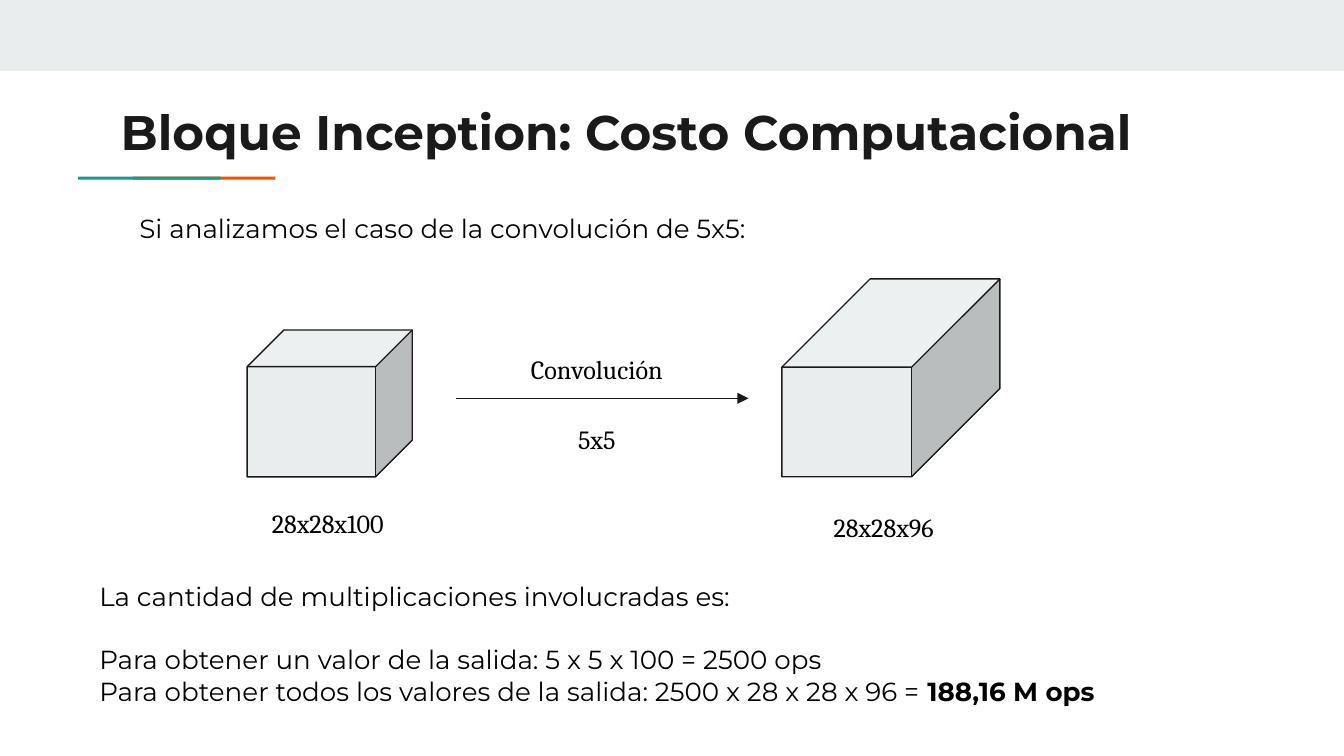
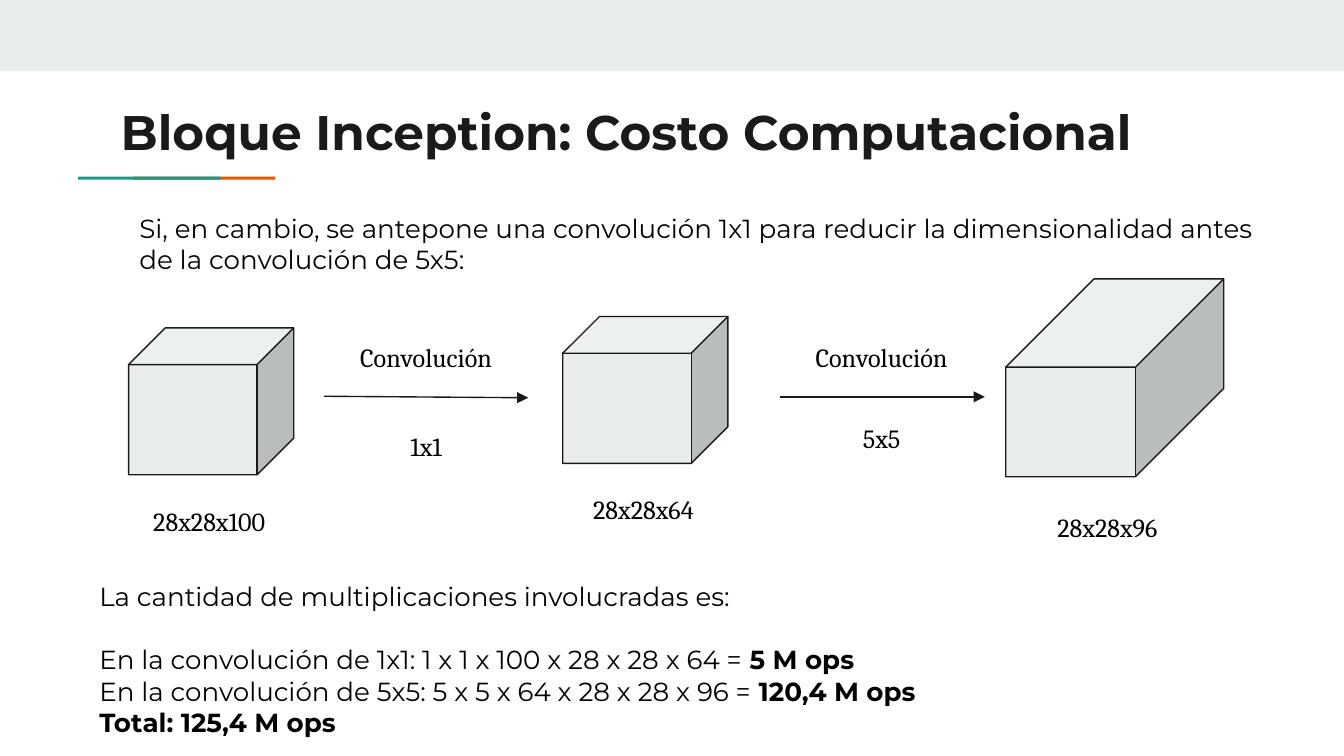
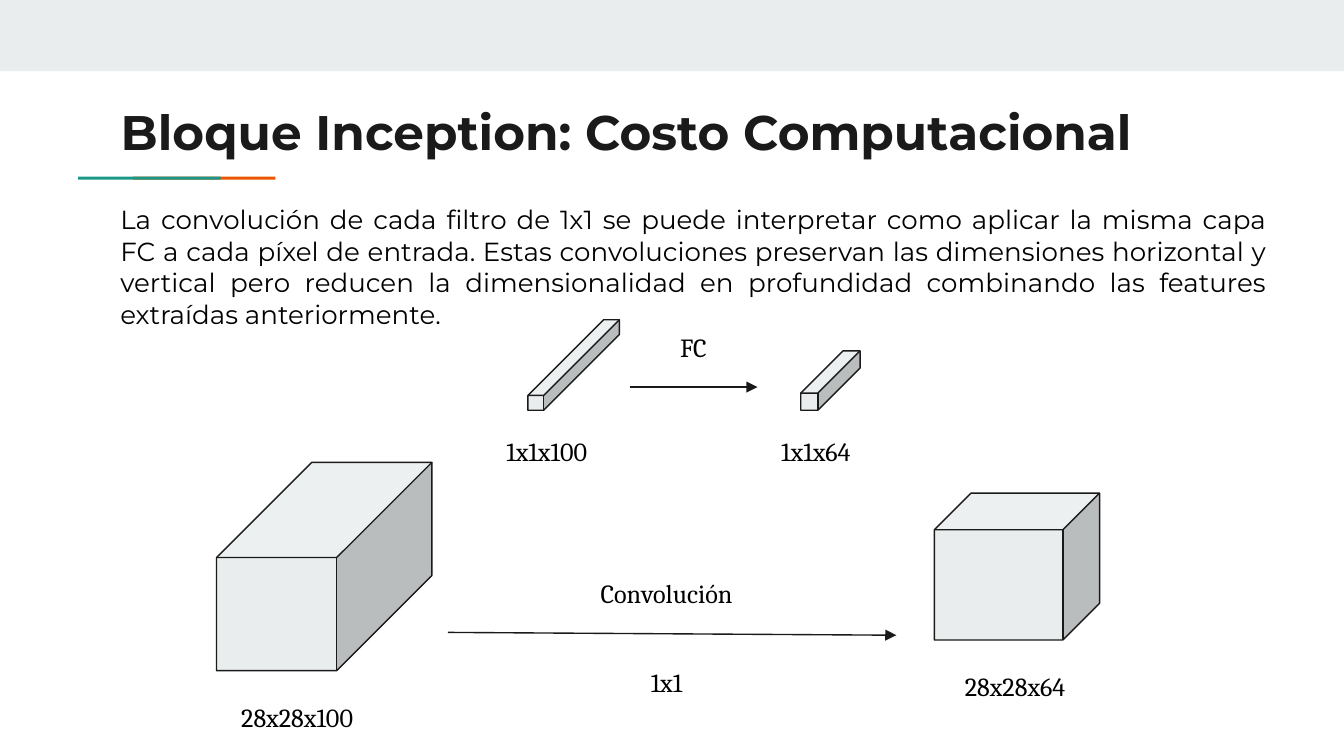
from collections import namedtuple

from lxml.etree import SubElement
from pptx import Presentation
from pptx.dml.color import RGBColor
from pptx.enum.shapes import MSO_CONNECTOR, MSO_SHAPE
from pptx.enum.text import MSO_ANCHOR, PP_ALIGN
from pptx.oxml.ns import qn
from pptx.util import Pt

INK = RGBColor(0x1A, 0x1A, 0x1A)
BLACK = RGBColor(0, 0, 0)
PALE = RGBColor(0xE9, 0xED, 0xEE)
TEAL = RGBColor(0x1A, 0x99, 0x88)
ORANGE = RGBColor(0xEB, 0x56, 0x00)

SANS, SERIF = "Montserrat", "Cambria"
WIDE, HIGH = 720, 405
INSET = 7.2
LABEL = (99.4, 31.7)
TITLE = "Bloque Inception: Costo Computacional"
COUNT = "La cantidad de multiplicaciones involucradas es:"
CONV = "Convolución"

# Size and depth of a cube; its label starts dx from the left, gap below.
Cube = namedtuple("Cube", "wide high depth dx gap")
BLOCK = Cube(88.5, 78.7, 0.25, -6.5, 9)
LONG = Cube(116.8, 106, 0.446, 4.8, 11.5)
DEEP = Cube(115.4, 111.6, 0.457, -6.5, 9.2)
ROD = Cube(49, 48.5, 0.836, -39.6, 6)
STUB = Cube(31.8, 31.8, 0.712, -41.6, 6)


def points(box):
    """Turn plain numbers into lengths in points."""
    return [Pt(n) for n in box]


def shape(slide, kind, box, fill, line=None):
    """Add a flat filled shape, outlined when a line colour is given."""
    item = slide.shapes.add_shape(kind, *points(box))
    item.shadow.inherit = False
    item.fill.solid()
    item.fill.fore_color.rgb = fill
    if line is None:
        item.line.fill.background()
    else:
        item.line.color.rgb = line
        item.line.width = Pt(0.75)
    return item


def write(slide, box, paras, face=SANS, size=14, color=BLACK,
          align=PP_ALIGN.LEFT, bold=False):
    """Add a text box; each paragraph is a (plain, bold) pair or a string."""
    frame = slide.shapes.add_textbox(*points(box)).text_frame
    frame.word_wrap = True
    frame.vertical_anchor = MSO_ANCHOR.TOP
    frame.margin_left = frame.margin_right = Pt(INSET)
    frame.margin_top = frame.margin_bottom = Pt(INSET)
    for i, para in enumerate(paras):
        p = frame.paragraphs[0] if i == 0 else frame.add_paragraph()
        p.alignment = align
        p.font.name, p.font.size = face, Pt(size)
        p.font.color.rgb = color
        p.font.bold = bold
        plain, strong = (para, "") if isinstance(para, str) else para
        for text, heavy in ((plain, bold), (strong, True)):
            if text:
                run = p.add_run()
                run.text = text
                run.font.bold = heavy
                run.font.name, run.font.size = face, Pt(size)
                run.font.color.rgb = color
    return frame


def label(slide, left, top, text):
    """Write a short centred caption."""
    write(slide, (left, top, *LABEL), [text], SERIF, align=PP_ALIGN.CENTER)


def header(slide):
    """Draw the top band, the title and its two-colour rule."""
    shape(slide, MSO_SHAPE.RECTANGLE, (0, 0, WIDE, 38.2), PALE)
    for left, color in ((71.2, ORANGE), (41.8, TEAL)):
        shape(slide, MSO_SHAPE.RECTANGLE, (left, 94.7, 76.4, 1.6), color)
    write(slide, (57.6, 47.5, 605.5, 42.5), [TITLE], size=26, color=INK,
          bold=True)


def volume(slide, left, top, cube, text):
    """Draw a cube with its dimensions below."""
    item = shape(slide, MSO_SHAPE.CUBE, (left, top, cube.wide, cube.high),
                 PALE, INK)
    item.adjustments[0] = cube.depth
    label(slide, left + cube.dx, top + cube.high + cube.gap, text)


def step(slide, start, end, left, texts):
    """Draw an arrow and its captions, given as (text, top) pairs."""
    arrow = slide.shapes.add_connector(MSO_CONNECTOR.STRAIGHT,
                                       *points(start + end))
    arrow.line.color.rgb = INK
    arrow.line.width = Pt(0.75)
    SubElement(arrow.line._get_or_add_ln(), qn("a:tailEnd"), type="triangle")
    SubElement(arrow._element.spPr, qn("a:effectLst"))
    for text, top in texts:
        label(slide, left, top, text)


def sums(slide, box, lines):
    """Write the count of operations, one line below its lead."""
    frame = write(slide, box, [COUNT, *lines])
    frame.paragraphs[1].space_before = Pt(17)


def direct(slide):
    """Cost of the plain 5x5 convolution."""
    header(slide)
    write(slide, (67.6, 106.5, 628.6, 31.7),
          ["Si analizamos el caso de la convolución de 5x5:"])
    volume(slide, 132.4, 176.8, BLOCK, "28x28x100")
    volume(slide, 418.9, 149.4, LONG, "28x28x96")
    step(slide, (244.1, 213.4), (401, 213.4), 270,
         [(CONV, 182.2), ("5x5", 219.6)])
    sums(slide, (46.1, 303.8, 632.9, 82), [
        "Para obtener un valor de la salida: 5 x 5 x 100 = 2500 ops",
        ("Para obtener todos los valores de la salida: "
         "2500 x 28 x 28 x 96 = ", "188,16 M ops")])


def reduced(slide):
    """Cost with a 1x1 convolution placed first."""
    header(slide)
    write(slide, (67.6, 106.5, 628.6, 48.2),
          ["Si, en cambio, se antepone una convolución 1x1 para reducir la "
           "dimensionalidad antes de la convolución de 5x5:"])
    volume(slide, 68.9, 175.7, BLOCK, "28x28x100")
    volume(slide, 301.5, 169.6, BLOCK, "28x28x64")
    volume(slide, 538.8, 149.4, LONG, "28x28x96")
    step(slide, (173.5, 212.3), (283, 213.1), 178.6,
         [(CONV, 175.7), ("1x1", 223.2)])
    step(slide, (418, 212.6), (527.6, 212.6), 422.6,
         [(CONV, 175.7), ("5x5", 218.9)])
    sums(slide, (46.1, 303.8, 632.9, 99.4), [
        ("En la convolución de 1x1: 1 x 1 x 100 x 28 x 28 x 64 = ",
         "5 M ops"),
        ("En la convolución de 5x5: 5 x 5 x 64 x 28 x 28 x 96 = ",
         "120,4 M ops"),
        ("", "Total: 125,4 M ops")])


def pixels(slide):
    """The 1x1 convolution seen as one FC layer for each pixel."""
    header(slide)
    write(slide, (57.4, 102, 628.6, 82),
          ["La convolución de cada filtro de 1x1 se puede interpretar como "
           "aplicar la misma capa FC a cada píxel de entrada. Estas "
           "convoluciones preservan las dimensiones horizontal y vertical "
           "pero reducen la dimensionalidad en profundidad combinando las "
           "features extraídas anteriormente."], align=PP_ALIGN.JUSTIFY)
    volume(slide, 116, 247.7, DEEP, "28x28x100")
    volume(slide, 500.6, 264.2, BLOCK, "28x28x64")
    step(slide, (240, 338.8), (480.2, 340.3), 307.4,
         [(CONV, 302.4), ("1x1", 349.9)])
    volume(slide, 282.8, 171.3, ROD, "1x1x100")
    volume(slide, 429, 188, STUB, "1x1x64")
    step(slide, (337.5, 207.4), (405.8, 207.4), 321.8, [("FC", 170.6)])


deck = Presentation()
deck.slide_width, deck.slide_height = Pt(WIDE), Pt(HIGH)
for build in (direct, reduced, pixels):
    build(deck.slides.add_slide(deck.slide_layouts[6]))
deck.save("out.pptx")
